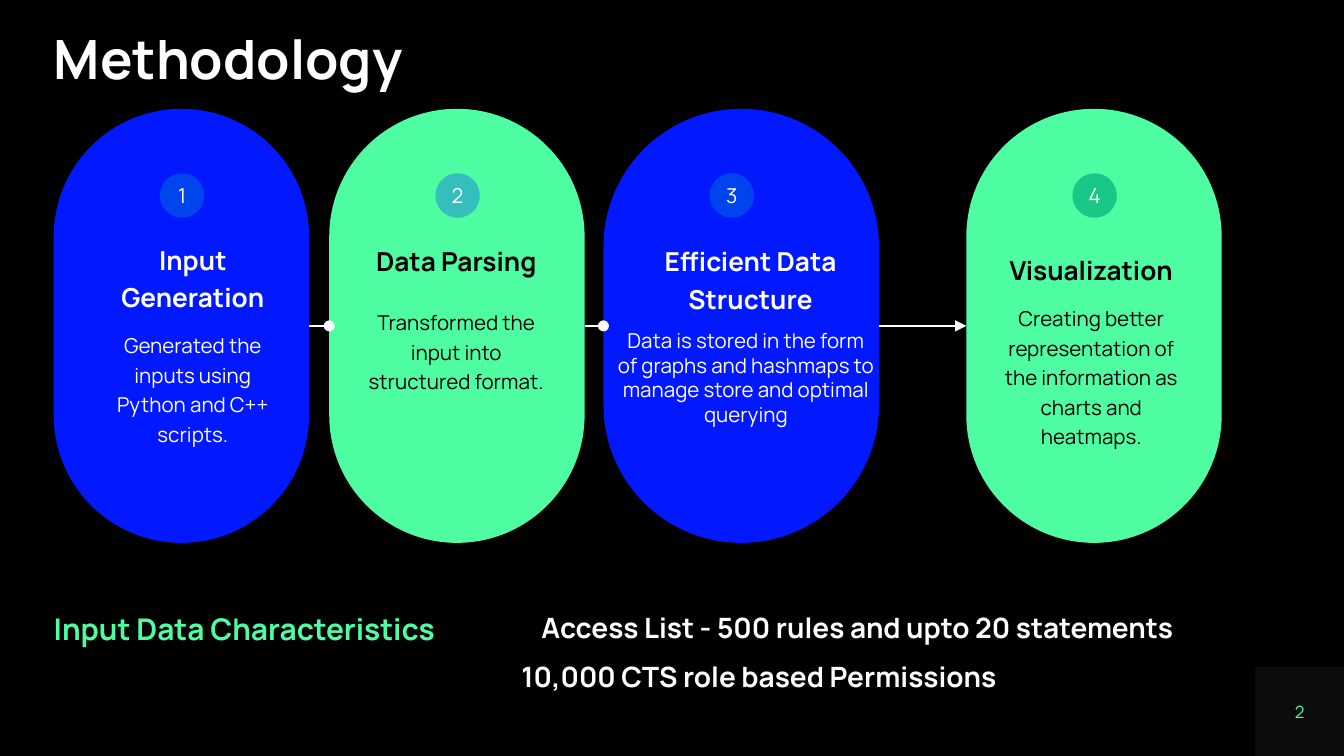
"""Build the Methodology slide: four linked steps and the input data facts."""
from pptx import Presentation
from pptx.dml.color import RGBColor
from pptx.enum import shapes as sh, text as tx
from pptx.oxml.ns import qn
from pptx.util import Inches, Pt
from lxml import etree

FONT = "Manrope"
BLACK = RGBColor(0x00, 0x00, 0x00)
WHITE = RGBColor(0xFF, 0xFF, 0xFF)
GREY = RGBColor(0x7F, 0x7F, 0x7F)
BLUE = RGBColor(0x02, 0x18, 0xFF)
GREEN = RGBColor(0x4E, 0xFD, 0xA2)
ROYAL = RGBColor(0x00, 0x44, 0xED)
TEAL = RGBColor(0x34, 0xBE, 0xBC)
JADE = RGBColor(0x19, 0xC7, 0x87)

LEFT, MID = tx.PP_ALIGN.LEFT, tx.PP_ALIGN.CENTER
TOP, HIGH, DOT, TILE = 0.81, 3.23, 0.33, 0.66
HEAD = {"size": 14, "bold": True, "line": 1.2}
BODY = {"size": 11, "line": 1.2}
NEXT = {**BODY, "before": 8}

STEPS = [
    {"left": 0.4, "wide": 1.9, "fill": BLUE, "dot": ROYAL, "ink": WHITE, "end": "oval",
     "text": [((0.73, 1.67, 1.41, 1.83),
               [("Input Generation", HEAD),
                ("Generated the inputs using Python and C++ scripts.", NEXT)])]},
    {"left": 2.45, "wide": 1.9, "fill": GREEN, "dot": TEAL, "ink": BLACK, "end": "oval",
     "text": [((2.7, 1.68, 1.57, 0.33), [("Data Parsing", {**HEAD, "align": LEFT})]),
              ((2.61, 2.17, 1.57, 0.95),
               [("Transformed the input into structured format.", BODY)])]},
    {"left": 4.49, "wide": 2.05, "fill": BLUE, "dot": ROYAL, "ink": WHITE, "end": "triangle",
     "text": [((4.8, 1.68, 1.57, 0.22), [("Efficient Data Structure", HEAD)]),
              ((4.49, 2.34, 2.12, 1.44),
               [("Data is stored in the form of graphs and hashmaps to manage "
                 "store and optimal querying", {"size": 11})])]},
    {"left": 7.19, "wide": 1.9, "fill": GREEN, "dot": JADE, "ink": BLACK, "end": None,
     "text": [((7.36, 1.75, 1.52, 1.83),
               [("Visualization", HEAD),
                ("Creating better representation of the information as charts "
                 "and heatmaps.", NEXT)])]},
]
FACT = {"size": 15, "bold": True, "line": 1.2, "before": 5}
NOTES = [
    ((0.4, 4.49, 3.07, 0.27), GREEN,
     [("Input Data Characteristics",
       {"size": 16, "bold": True, "line": 1.2, "before": 8, "align": LEFT})]),
    ((3.67, 4.49, 5.42, 1.1), WHITE,
     [("Access List - 500 rules and upto 20 statements", FACT),
      ("10,000 CTS role based Permissions", {**FACT, "align": LEFT, "indent": 0.21})]),
]


def write(shape, paras, ink, pad=0, anchor=tx.MSO_ANCHOR.TOP):
    frame = shape.text_frame
    look = {"word_wrap": True, "auto_size": tx.MSO_AUTO_SIZE.NONE, "vertical_anchor": anchor}
    look.update({f"margin_{side}": Inches(pad) for side in ("left", "right", "top", "bottom")})
    for name, val in look.items():
        setattr(frame, name, val)
    for num, (words, form) in enumerate(paras):
        para = frame.add_paragraph() if num else frame.paragraphs[0]
        para.alignment = form.get("align", MID)
        para.line_spacing = form.get("line", 1.0)
        para.space_before = Pt(form.get("before", 0))
        if "indent" in form:
            para._p.get_or_add_pPr().set("marL", str(Inches(form["indent"])))
        run = para.add_run()
        run.text = words
        font = {"name": FONT, "size": Pt(form["size"]), "bold": form.get("bold", False)}
        for name, val in font.items():
            setattr(run.font, name, val)
        run.font.color.rgb = ink


def add_text(slide, box, paras, ink, **rest):
    write(slide.shapes.add_textbox(*map(Inches, box)), paras, ink, **rest)


def add_form(slide, kind, box, fill):
    shape = slide.shapes.add_shape(kind, *map(Inches, box))
    shape.shadow.inherit = False
    shape.fill.solid()
    shape.fill.fore_color.rgb = fill
    shape.line.fill.background()
    return shape


def add_link(slide, start, stop, end):
    mid = TOP + HIGH / 2
    link = slide.shapes.add_connector(
        sh.MSO_CONNECTOR.STRAIGHT, *map(Inches, (start, mid, stop, mid)))
    link.line.color.rgb = WHITE
    link.line.width = Pt(0.75)
    etree.SubElement(link.line._get_or_add_ln(), qn("a:tailEnd"), type=end)
    etree.SubElement(link._element.spPr, qn("a:effectLst"))


def main():
    deck = Presentation()
    deck.slide_width = Inches(10)
    deck.slide_height = deck.slide_width * 9 // 16
    slide = deck.slides.add_slide(deck.slide_layouts[5])
    slide.background.fill.solid()
    slide.background.fill.fore_color.rgb = BLACK

    tile = add_form(slide, sh.MSO_SHAPE.RECTANGLE,
                    (10 - TILE, deck.slide_height.inches - TILE, TILE, TILE), GREY)
    tint = tile._element.spPr.find(qn("a:solidFill"))[0]
    etree.SubElement(tint, qn("a:alpha"), val="10000")

    title = slide.shapes.title
    for name, val in {"left": 0.4, "top": 0.24, "width": 8.69, "height": 0.44}.items():
        setattr(title, name, Inches(val))
    write(title, [("Methodology", {"size": 29, "bold": True, "line": 0.9, "align": LEFT})], WHITE)
    add_text(slide, (9.58, 5.22, 0.18, 0.15), [("2", {"size": 9})], GREEN,
             anchor=tx.MSO_ANCHOR.MIDDLE)

    for num, step in enumerate(STEPS, 1):
        left, wide = step["left"], step["wide"]
        pill = add_form(slide, sh.MSO_SHAPE.ROUNDED_RECTANGLE,
                        (left, TOP, wide, HIGH), step["fill"])
        pill.adjustments[0] = 0.5
        dot = add_form(slide, sh.MSO_SHAPE.OVAL, (left + 0.79, 1.29, DOT, DOT), step["dot"])
        write(dot, [(str(num), {"size": 11})], WHITE, anchor=tx.MSO_ANCHOR.MIDDLE)
        for box, paras in step["text"]:
            add_text(slide, box, paras, step["ink"], pad=0.1)

    for step, after in zip(STEPS, STEPS[1:]):
        add_link(slide, step["left"] + step["wide"], after["left"], step["end"])
    for box, ink, paras in NOTES:
        add_text(slide, box, paras, ink)
    deck.save("out.pptx")


if __name__ == "__main__":
    main()
